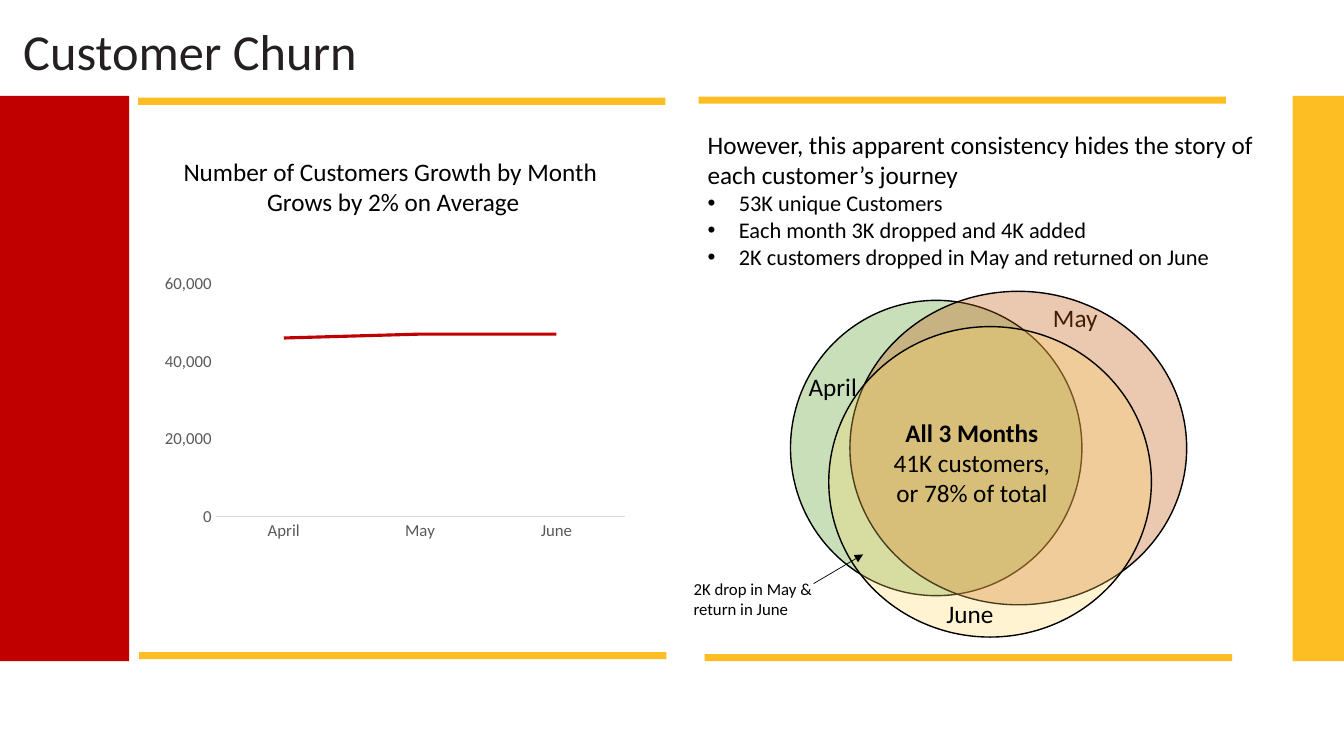
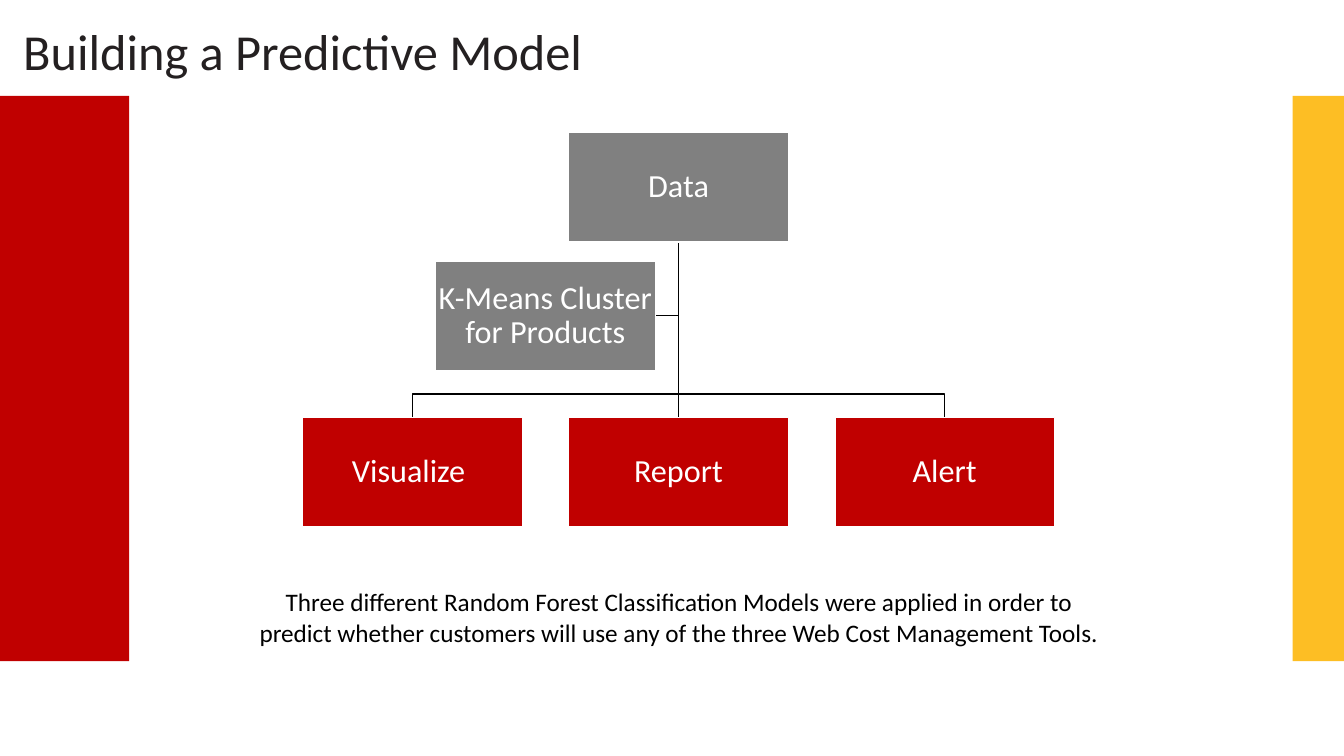
from dataclasses import dataclass

from lxml import etree
from pptx import Presentation
from pptx.chart.data import CategoryChartData
from pptx.dml.color import RGBColor
from pptx.enum.chart import XL_CHART_TYPE, XL_TICK_MARK
from pptx.enum.shapes import MSO_CONNECTOR, MSO_SHAPE
from pptx.enum.text import MSO_ANCHOR, MSO_AUTO_SIZE, PP_ALIGN
from pptx.oxml.ns import qn
from pptx.util import Emu, Pt

RECT, OVAL = MSO_SHAPE.RECTANGLE, MSO_SHAPE.OVAL
STRAIGHT = MSO_CONNECTOR.STRAIGHT
LEFT, CENTER = PP_ALIGN.LEFT, PP_ALIGN.CENTER
TOP, MIDDLE = MSO_ANCHOR.TOP, MSO_ANCHOR.MIDDLE
NO_TICK = XL_TICK_MARK.NONE
TITLE_ONLY = 5
EMU_PER_PX = 9144  # 100 px to the inch


@dataclass(frozen=True)
class Theme:
    font: str = "Calibri"
    red: str = "C00000"
    gold: str = "FDBE24"
    gray: str = "808080"
    black: str = "000000"
    white: str = "FFFFFF"
    title_color: str = "242021"
    axis_text: str = "595959"
    axis_line: str = "D9D9D9"
    title: int = 36
    node: int = 23
    body: int = 18
    bullet: int = 16
    small: int = 12


THEME = Theme()

# Boxes are (left, top, width, height) in px.
SLIDE_SIZE = (1333, 750)
TITLE_BOX = (13, 15, 1320, 71)
SIDE_BANDS = [((0, 95, 128, 561), THEME.red), ((1282, 95, 51, 561), THEME.gold)]

CHURN_TITLE = "Customer Churn"
RULE_SIZE = (523, 7)
RULE_CORNERS = [(137, 97), (138, 647), (693, 96), (699, 649)]
GROWTH_HEADING = ["Number of Customers Growth by Month ", "Grows by 2% on Average"]
GROWTH_HEADING_BOX = (145, 150, 490, 71)
CUSTOMERS_BY_MONTH = {"April": 46000, "May": 47000, "June": 47000}
CHART_BOX = (154, 266, 475, 276)
JOURNEY_BOX = (692, 123, 565, 152)
JOURNEY = ["However, this apparent consistency hides the story of each customer’s journey"]
JOURNEY_FACTS = [
    "53K unique Customers",
    "Each month 3K dropped and 4K added",
    "2K customers dropped in May and returned on June",
]
BULLET_INDENT = 31
MONTH_CIRCLES = [  # box, colour, opacity in percent
    ((784, 298, 289, 293), "70AD47", 38),
    ((843, 289, 334, 311), "C55A11", 33),
    ((822, 324, 320, 308), "FFD966", 29),
]
LABELS_BELOW_CIRCLES = [("May", (960, 295, 213, 72))]
LABELS_ABOVE_CIRCLES = [("April", (733, 363, 186, 40)), ("June", (869, 589, 186, 40))]
OVERLAP = ["All 3 Months", "41K customers, or 78% of total"]
OVERLAP_BOX = (866, 409, 196, 101)
RETURNERS = ["2K drop in May &", "return in June"]
RETURNERS_BOX = (678, 569, 161, 50)
RETURNERS_ARROW = ((807, 579), (856, 550))

MODEL_TITLE = "Building a Predictive Model"
NODE_SIZE = (218, 109)
NODE_INSET = 2
TRUNK_X, BRANCH_PITCH = 673, 264
ROOT, ROOT_TOP = "Data", 131
ASSISTANT, ASSISTANT_CORNER = "K-Means Cluster for Products", (432, 259)
BRANCHES, BRANCH_TOP = ["Visualize ", "Report", "Alert"], 414
BRANCH_BAR_Y = 391
MODEL_NOTE = [
    "Three different Random Forest Classification Models were applied in order to "
    "predict whether customers will use any of the three Web Cost Management Tools."
]
MODEL_NOTE_BOX = (246, 577, 855, 71)


def px(*lengths):
    return [Emu(length * EMU_PER_PX) for length in lengths]


def set_attributes(target, **values):
    for name, value in values.items():
        setattr(target, name, value)


def format_font(font, size, color=THEME.black, bold=False):
    set_attributes(font, name=THEME.font, size=Pt(size), bold=bold)
    font.color.rgb = RGBColor.from_string(color)


def format_line(line, color=THEME.black, width=1):
    line.color.rgb = RGBColor.from_string(color)
    line.width = Pt(width)


def write(frame, lines, size=THEME.body, color=THEME.black, align=LEFT, anchor=TOP):
    """Fill the frame with one paragraph per line."""
    set_attributes(frame, word_wrap=True, auto_size=MSO_AUTO_SIZE.NONE, vertical_anchor=anchor)
    frame.text = "\n".join(lines)
    for paragraph in frame.paragraphs:
        paragraph.alignment = align
        for run in paragraph.runs:
            format_font(run.font, size, color)
    return frame


def add_text(slide, box, lines, **style):
    return write(slide.shapes.add_textbox(*px(*box)).text_frame, lines, **style)


def add_bullets(frame, lines):
    indent, = px(BULLET_INDENT)
    for line in lines:
        paragraph = frame.add_paragraph()
        run = paragraph.add_run()
        run.text = line
        format_font(run.font, THEME.bullet)
        properties = paragraph._p.get_or_add_pPr()
        properties.set("marL", str(indent))
        properties.set("indent", str(-indent))
        etree.SubElement(properties, qn("a:buFont")).set("typeface", "Arial")
        etree.SubElement(properties, qn("a:buChar")).set("char", "•")


def add_filled(slide, kind, box, color, outline=None, opacity=100):
    shape = slide.shapes.add_shape(kind, *px(*box))
    shape.shadow.inherit = False
    shape.fill.solid()
    shape.fill.fore_color.rgb = RGBColor.from_string(color)
    if opacity < 100:
        fill_color = shape._element.spPr.find(f"{qn('a:solidFill')}/{qn('a:srgbClr')}")
        etree.SubElement(fill_color, qn("a:alpha")).set("val", str(opacity * 1000))
    if outline:
        format_line(shape.line, outline)
    else:
        shape.line.fill.background()
    return shape


def add_line(slide, start, end, width=1, arrow=False):
    line = slide.shapes.add_connector(STRAIGHT, *px(*start, *end))
    format_line(line.line, width=width)
    if arrow:
        etree.SubElement(line.line._get_or_add_ln(), qn("a:tailEnd")).set("type", "triangle")
    etree.SubElement(line._element.spPr, qn("a:effectLst"))


def add_bent_line(slide, start, *corners):
    builder = slide.shapes.build_freeform(*start, scale=EMU_PER_PX)
    builder.add_line_segments(corners, close=False)
    bent_line = builder.convert_to_shape()
    bent_line.shadow.inherit = False
    bent_line.fill.background()
    format_line(bent_line.line)


def add_titled_slide(deck, title):
    slide = deck.slides.add_slide(deck.slide_layouts[TITLE_ONLY])
    heading = slide.shapes.title
    set_attributes(heading, **dict(zip(("left", "top", "width", "height"), px(*TITLE_BOX))))
    write(heading.text_frame, [title], size=THEME.title, color=THEME.title_color)
    for box, color in SIDE_BANDS:
        add_filled(slide, RECT, box, color)
    return slide


def add_customer_chart(slide):
    data = CategoryChartData(number_format="#,##0")
    data.categories = list(CUSTOMERS_BY_MONTH)
    data.add_series("Series 1", list(CUSTOMERS_BY_MONTH.values()))
    chart = slide.shapes.add_chart(XL_CHART_TYPE.LINE, *px(*CHART_BOX), data).chart
    set_attributes(chart, has_title=False, has_legend=False)
    format_font(chart.font, THEME.small, THEME.axis_text)
    chart.plots[0].vary_by_categories = False

    months, counts = chart.category_axis, chart.value_axis
    for axis in (months, counts):
        set_attributes(axis, major_tick_mark=NO_TICK, minor_tick_mark=NO_TICK,
                       has_major_gridlines=False)
        format_font(axis.tick_labels.font, THEME.small, THEME.axis_text)
    format_line(months.format.line, THEME.axis_line, 0.75)
    counts.format.line.fill.background()
    set_attributes(counts, minimum_scale=0, maximum_scale=60000, major_unit=20000)
    set_attributes(counts.tick_labels, number_format="#,##0", number_format_is_linked=False)

    customers = chart.plots[0].series[0]
    customers.smooth = False
    format_line(customers.format.line, THEME.red, 2.25)


def add_labels(slide, labels):
    for text, box in labels:
        add_text(slide, box, [text], align=CENTER)


def add_month_overlap(slide):
    add_labels(slide, LABELS_BELOW_CIRCLES)
    for box, color, opacity in MONTH_CIRCLES:
        add_filled(slide, OVAL, box, color, outline=THEME.black, opacity=opacity)
    add_labels(slide, LABELS_ABOVE_CIRCLES)
    overlap = add_text(slide, OVERLAP_BOX, OVERLAP, align=CENTER)
    overlap.paragraphs[0].runs[0].font.bold = True
    add_text(slide, RETURNERS_BOX, RETURNERS, size=THEME.small)
    add_line(slide, *RETURNERS_ARROW, width=0.5, arrow=True)


def build_churn_slide(deck):
    slide = add_titled_slide(deck, CHURN_TITLE)
    for corner in RULE_CORNERS:
        add_filled(slide, RECT, corner + RULE_SIZE, THEME.gold)
    add_text(slide, GROWTH_HEADING_BOX, GROWTH_HEADING, align=CENTER)
    add_customer_chart(slide)
    add_bullets(add_text(slide, JOURNEY_BOX, JOURNEY), JOURNEY_FACTS)
    add_month_overlap(slide)


def add_node(slide, corner, text, color):
    frame = add_filled(slide, RECT, corner + NODE_SIZE, color, outline=THEME.white).text_frame
    inset, = px(NODE_INSET)
    set_attributes(frame, margin_left=inset, margin_right=inset,
                   margin_top=inset, margin_bottom=inset)
    write(frame, [text], size=THEME.node, color=THEME.white, align=CENTER, anchor=MIDDLE)
    frame.paragraphs[0].line_spacing = 0.9


def build_model_slide(deck):
    slide = add_titled_slide(deck, MODEL_TITLE)
    width, height = NODE_SIZE
    middle = len(BRANCHES) // 2
    centers = [TRUNK_X + (i - middle) * BRANCH_PITCH for i in range(len(BRANCHES))]
    trunk_top = (TRUNK_X, ROOT_TOP + height)
    assistant_right = ASSISTANT_CORNER[0] + width
    assistant_y = ASSISTANT_CORNER[1] + height // 2

    add_bent_line(slide, trunk_top, (TRUNK_X, assistant_y), (assistant_right, assistant_y))
    for x in centers:
        if x == TRUNK_X:
            add_line(slide, trunk_top, (x, BRANCH_TOP))
        else:
            add_bent_line(slide, trunk_top, (TRUNK_X, BRANCH_BAR_Y),
                          (x, BRANCH_BAR_Y), (x, BRANCH_TOP))

    add_node(slide, (TRUNK_X - width // 2, ROOT_TOP), ROOT, THEME.gray)
    add_node(slide, ASSISTANT_CORNER, ASSISTANT, THEME.gray)
    for x, branch in zip(centers, BRANCHES):
        add_node(slide, (x - width // 2, BRANCH_TOP), branch, THEME.red)
    add_text(slide, MODEL_NOTE_BOX, MODEL_NOTE, align=CENTER)


def main():
    deck = Presentation()
    deck.slide_width, deck.slide_height = px(*SLIDE_SIZE)
    build_churn_slide(deck)
    build_model_slide(deck)
    deck.save("out.pptx")


if __name__ == "__main__":
    main()
